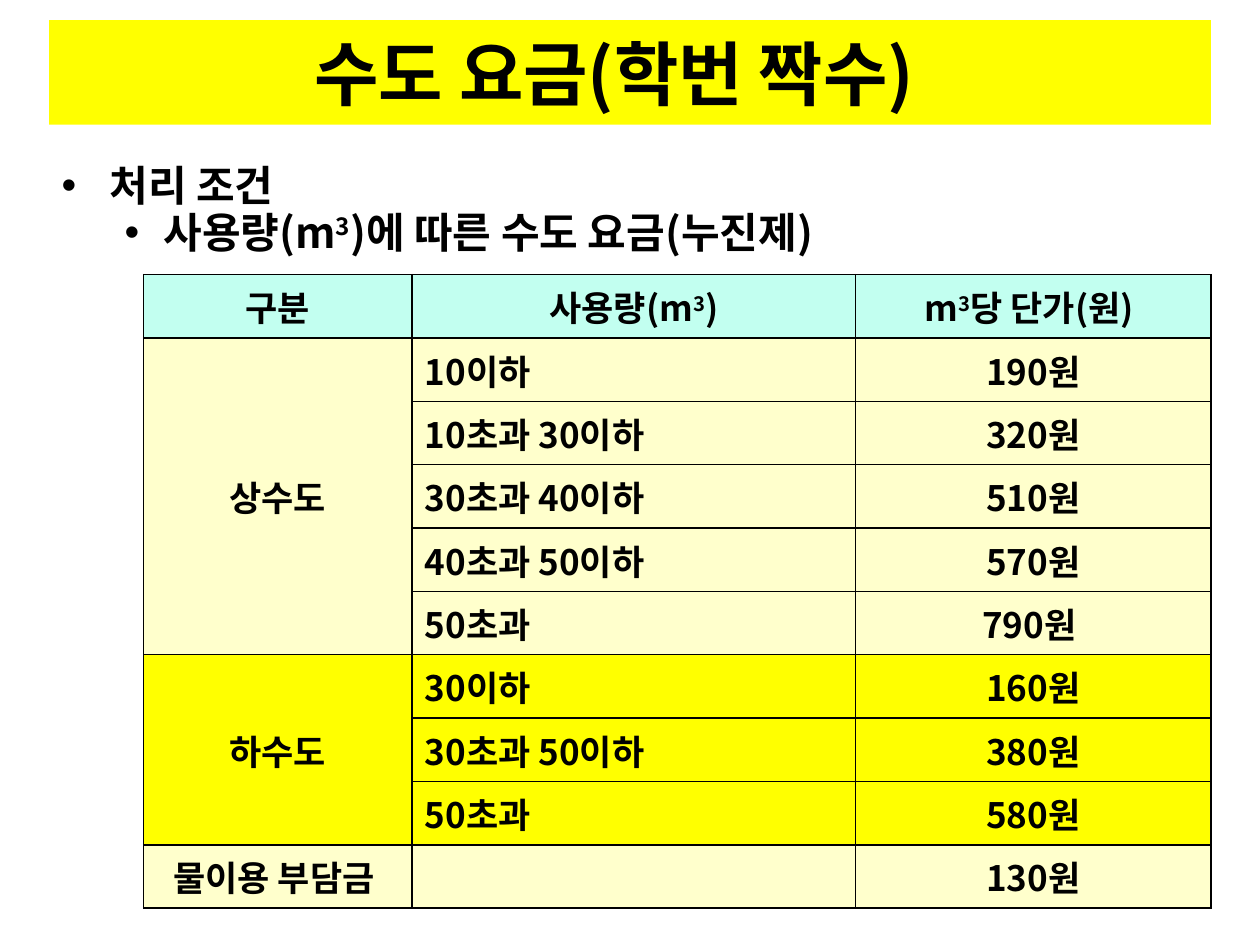
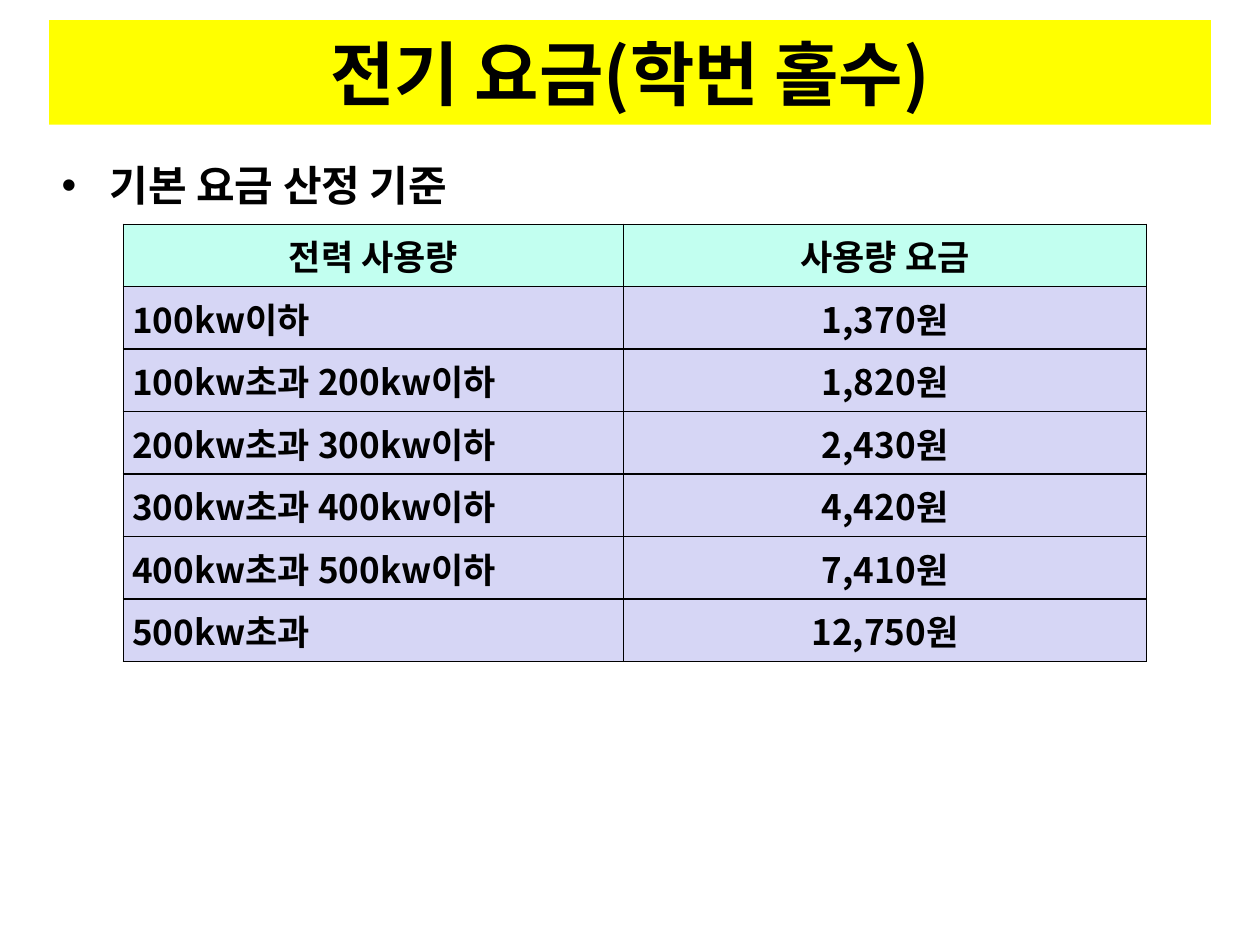
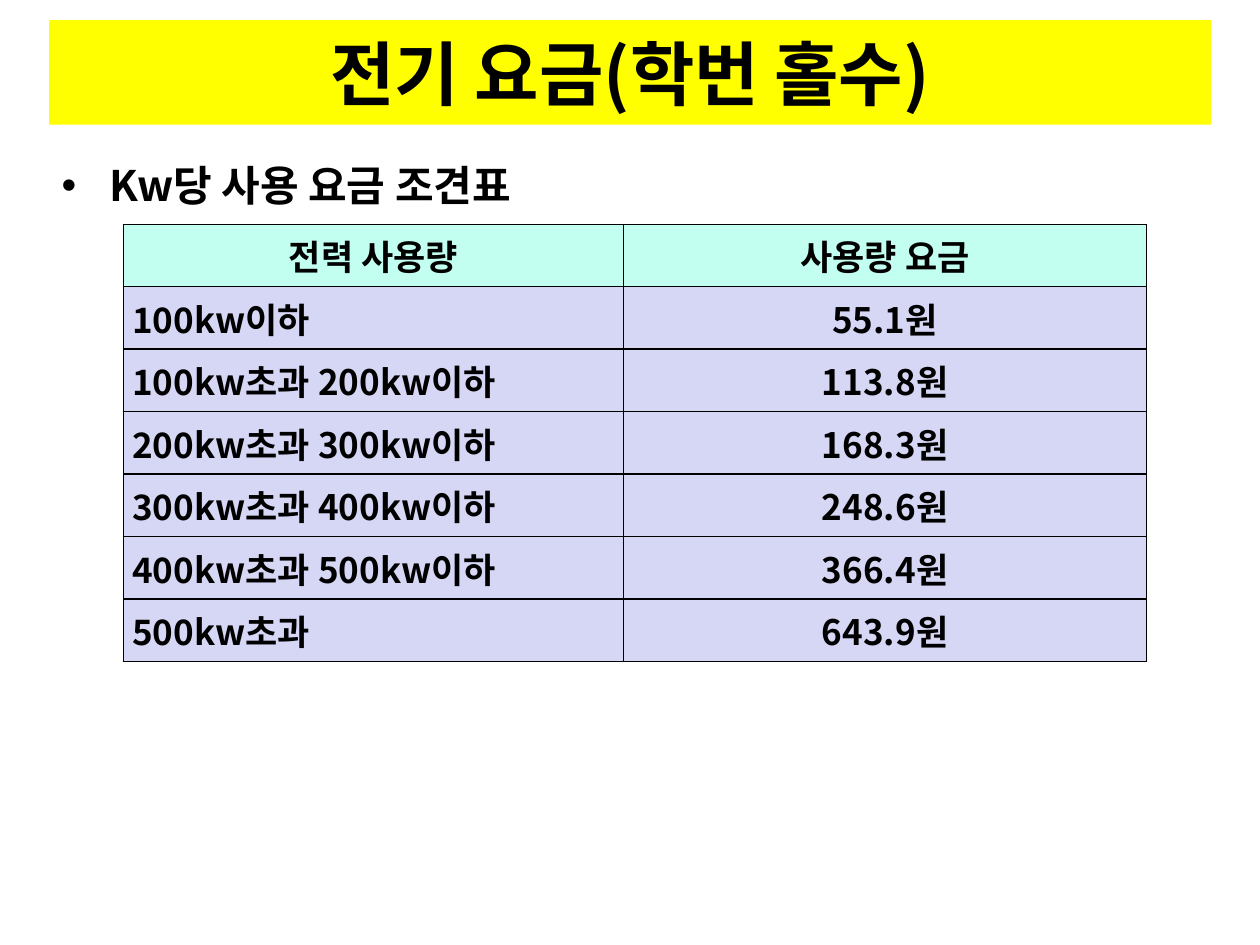
from lxml import etree
from pptx import Presentation
from pptx import util as u
from pptx.dml.color import RGBColor
from pptx.enum import text
from pptx.oxml import ns

FONT = "Noto Sans CJK KR"
BLACK = RGBColor(0x00, 0x00, 0x00)
YELLOW = RGBColor(0xFF, 0xFF, 0x00)
MINT = RGBColor(0xC2, 0xFF, 0xF0)
CREAM = RGBColor(0xFF, 0xFF, 0xCC)
LAVENDER = RGBColor(0xD6, 0xD6, 0xF5)

TITLE_BOX = (0.39, 0.16, 9.22, 0.83)
BODY_BOX = (0.39, 1.25, 9.22, 5.47)
BULLET_INDENTS = [(0.38, -0.38), (0.81, -0.31)]  # left margin, first line
LEFT, CENTER = text.PP_ALIGN.LEFT, text.PP_ALIGN.CENTER

WATER_HEADER = ["구분", "사용량(m³)", "m³당 단가(원) "]
WATER_GROUPS = [
    ("상수도", CREAM, [
        ("10이하", "190원"),
        ("10초과 30이하", "320원"),
        ("30초과 40이하", "510원"),
        ("40초과 50이하", "570원"),
        ("50초과", "790원 "),
    ]),
    ("하수도", YELLOW, [
        ("30이하", "160원"),
        ("30초과 50이하", "380원"),
        ("50초과", "580원"),
    ]),
    ("물이용 부담금 ", CREAM, [("", "130원")]),
]

POWER_TITLE = "전기 요금(학번 홀수)"
POWER_HEADER = ["전력 사용량", "사용량 요금"]
POWER_RANGES = ["100kw이하", "100kw초과 200kw이하", "200kw초과 300kw이하",
                "300kw초과 400kw이하", "400kw초과 500kw이하", "500kw초과"]
POWER_SLIDES = [
    ("기본 요금 산정 기준",
     ["1,370원", "1,820원", "2,430원", "4,420원", "7,410원", "12,750원"]),
    ("Kw당 사용 요금 조견표",
     ["55.1원", "113.8원", "168.3원", "248.6원", "366.4원", "643.9원"]),
]

WATER_LAYOUT = dict(left=1.14, top=2.18, height=5.03, columns=[2.13, 3.52, 2.82],
                    alignments=[CENTER, LEFT, CENTER], margins=(0.1, 0.05))
POWER_LAYOUT = dict(left=0.98, top=1.78, height=3.47, columns=[3.97, 4.15],
                    alignments=[LEFT, CENTER], margins=(0.07, 0.02))


def write(paragraph, content, size):
    """Fill a paragraph with bold text, raising the 3 of each cubic metre."""
    for index, part in enumerate(content.split("³")):
        for words, raised in (("3", True), (part, False)):
            if not words or (raised and index == 0):
                continue
            run = paragraph.add_run()
            run.text = words
            run.font.size = u.Pt(size)
            run.font.bold = True
            run.font.name = FONT
            run.font.color.rgb = BLACK
            properties = run._r.get_or_add_rPr()
            etree.SubElement(properties, ns.qn("a:ea"), typeface=FONT)
            if raised:
                properties.set("baseline", "30000")


def add_titled_slide(presentation, title, right_margin=0.1):
    slide = presentation.slides.add_slide(presentation.slide_layouts[5])
    shape = slide.shapes.title
    shape.left, shape.top, shape.width, shape.height = map(u.Inches, TITLE_BOX)
    shape.fill.solid()
    shape.fill.fore_color.rgb = YELLOW
    frame = shape.text_frame
    frame.auto_size = text.MSO_AUTO_SIZE.NONE
    frame.vertical_anchor = text.MSO_ANCHOR.MIDDLE
    frame.margin_right = u.Inches(right_margin)
    frame.paragraphs[0].alignment = CENTER
    write(frame.paragraphs[0], title, 40)
    return slide


def add_bullets(slide, lines):
    """Write one bullet per line, each a level deeper than the one before."""
    frame = slide.shapes.add_textbox(*map(u.Inches, BODY_BOX)).text_frame
    frame.word_wrap = True
    for level, line in enumerate(lines):
        paragraph = frame.add_paragraph() if level else frame.paragraphs[0]
        paragraph.level = level
        paragraph.line_spacing = 0.93
        margin, indent = BULLET_INDENTS[level]
        properties = paragraph._p.get_or_add_pPr()
        properties.set("marL", str(u.Inches(margin)))
        properties.set("indent", str(u.Inches(indent)))
        etree.SubElement(properties, ns.qn("a:buFont"), typeface="Arial")
        etree.SubElement(properties, ns.qn("a:buChar"), char="•")
        write(paragraph, line, 24)


def add_borders(cell):
    properties = cell._tc.get_or_add_tcPr()
    for side in ("lnL", "lnR", "lnT", "lnB"):
        line = etree.SubElement(properties, ns.qn(f"a:{side}"), w=str(u.Pt(1)))
        fill = etree.SubElement(line, ns.qn("a:solidFill"))
        etree.SubElement(fill, ns.qn("a:srgbClr"), val=str(BLACK))


def add_price_table(slide, rows, fills, left, top, height, columns, alignments, margins):
    table = slide.shapes.add_table(
        len(rows), len(columns), u.Inches(left), u.Inches(top),
        u.Inches(sum(columns)), u.Inches(height)).table
    table.first_row = table.horz_banding = False
    for column, width in zip(table.columns, columns):
        column.width = u.Inches(width)
    for row_index, (row, fill) in enumerate(zip(rows, fills)):
        for column_index, content in enumerate(row):
            cell = table.cell(row_index, column_index)
            add_borders(cell)
            cell.fill.solid()
            cell.fill.fore_color.rgb = fill
            cell.vertical_anchor = text.MSO_ANCHOR.MIDDLE
            cell.margin_left = cell.margin_right = u.Inches(margins[0])
            cell.margin_top = cell.margin_bottom = u.Inches(margins[1])
            paragraph = cell.text_frame.paragraphs[0]
            paragraph.alignment = alignments[column_index] if row_index else CENTER
            write(paragraph, content, 20)
    return table


def add_water_slide(presentation):
    slide = add_titled_slide(presentation, "수도 요금(학번 짝수)", right_margin=0.35)
    add_bullets(slide, ["처리 조건", "사용량(m³)에 따른 수도 요금(누진제)"])
    rows, fills, spans = [WATER_HEADER], [MINT], []
    for name, fill, prices in WATER_GROUPS:
        spans.append((len(rows), len(rows) + len(prices) - 1))
        for index, price in enumerate(prices):
            rows.append(["" if index else name, *price])
            fills.append(fill)
    table = add_price_table(slide, rows, fills, **WATER_LAYOUT)
    for first, last in spans:
        if last > first:
            table.cell(first, 0).merge(table.cell(last, 0))


def add_power_slide(presentation, heading, prices):
    slide = add_titled_slide(presentation, POWER_TITLE)
    add_bullets(slide, [heading])
    rows = [POWER_HEADER, *zip(POWER_RANGES, prices)]
    fills = [MINT] + [LAVENDER] * len(prices)
    add_price_table(slide, rows, fills, **POWER_LAYOUT)


def main():
    presentation = Presentation()
    presentation.slide_width = u.Inches(10)
    presentation.slide_height = u.Inches(7.5)
    add_water_slide(presentation)
    for heading, prices in POWER_SLIDES:
        add_power_slide(presentation, heading, prices)
    presentation.save("out.pptx")


if __name__ == "__main__":
    main()
